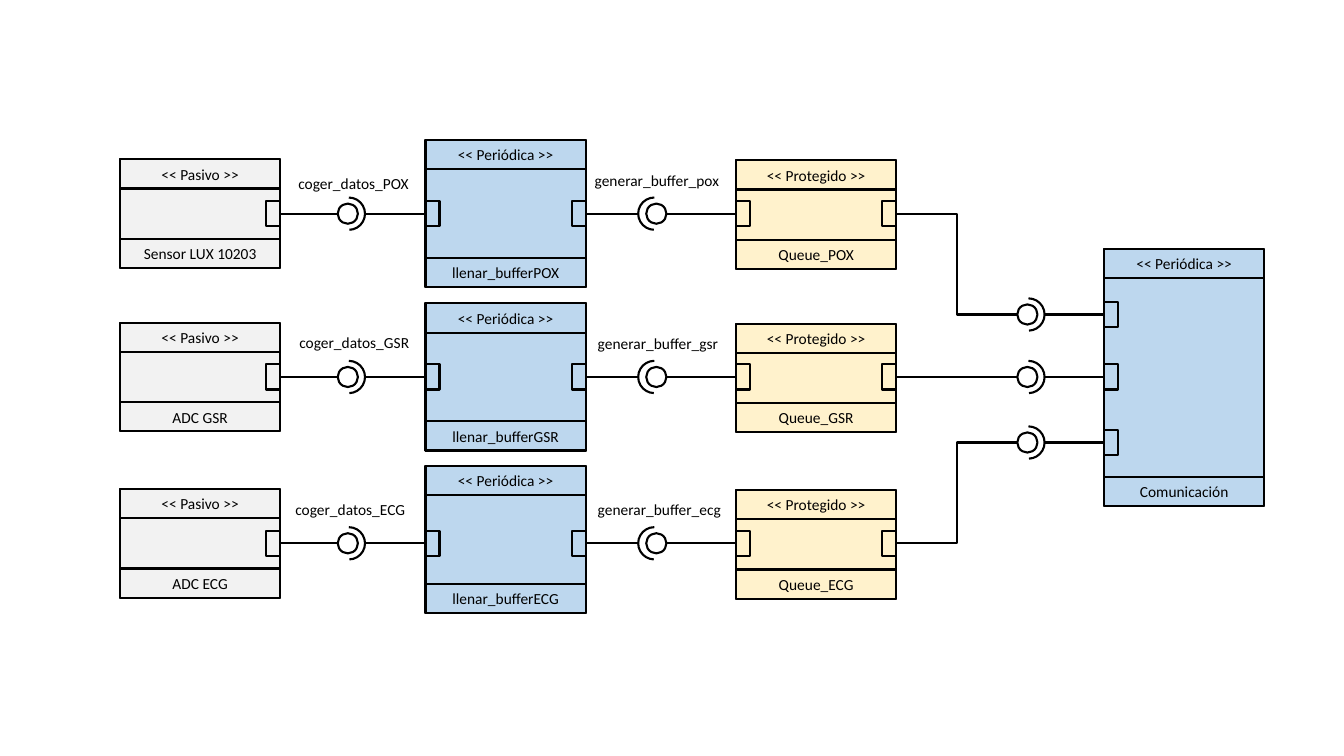
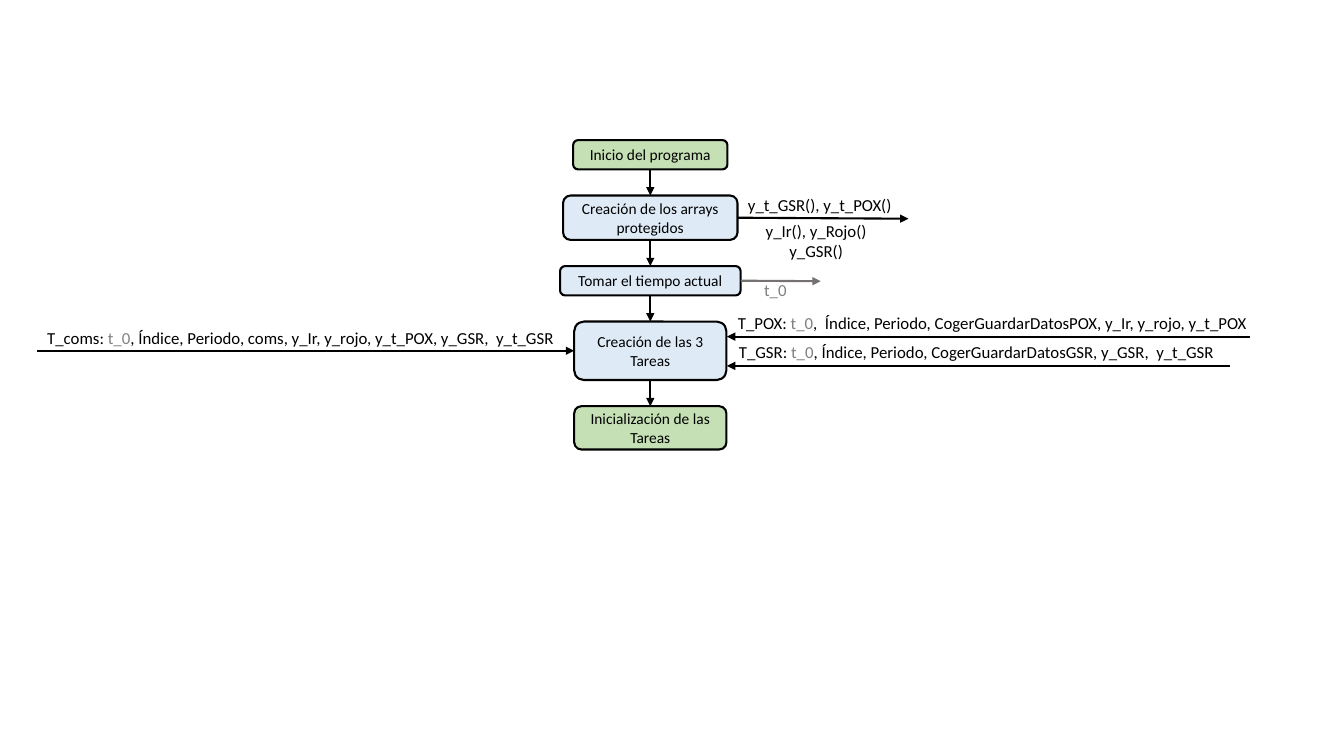
from pptx import Presentation
from pptx.dml.color import RGBColor
from pptx.enum.shapes import MSO_CONNECTOR, MSO_SHAPE
from pptx.enum.text import MSO_ANCHOR, PP_ALIGN
from pptx.oxml.ns import qn
from pptx.util import Inches, Pt
from lxml import etree

RECT, ROUND = MSO_SHAPE.RECTANGLE, MSO_SHAPE.ROUNDED_RECTANGLE
OVAL, ARC = MSO_SHAPE.OVAL, MSO_SHAPE.ARC
LINE, ELBOW = MSO_CONNECTOR.STRAIGHT, MSO_CONNECTOR.ELBOW
LEFT, CENTER = PP_ALIGN.LEFT, PP_ALIGN.CENTER
MIDDLE = MSO_ANCHOR.MIDDLE
S_TOP, S_LEFT, S_BASE, S_RIGHT = range(4)


class Theme:
    font = "Calibri"
    small, note = 11, 12
    stroke = 1.5
    ink, dim, mute = "000000", "808080", "767171"
    blue, grey, sand = "BDD7EE", "F2F2F2", "FFF2CC"
    pale, green = "DEEBF7", "C5E0B4"


ROWS = [
    dict(mid=2.12, top=1.39, sensor="Sensor LUX 10203", task="llenar_bufferPOX",
         queue="Queue_POX", read=("coger_datos_POX", 2.86, 1.68, 1.31),
         fill=("generar_buffer_pox", 5.8, 1.65, 1.46), goal=3.12),
    dict(mid=3.74, top=3.01, sensor="ADC GSR", task="llenar_bufferGSR",
         queue="Queue_GSR", read=("coger_datos_GSR", 2.87, 3.26, 1.3),
         fill=("generar_buffer_gsr", 5.83, 3.27, 1.42), goal=3.74),
    dict(mid=5.39, top=4.62, sensor="ADC ECG", task="llenar_bufferECG",
         queue="Queue_ECG", read=("coger_datos_ECG", 2.83, 4.91, 1.31),
         fill=("generar_buffer_ecg", 5.83, 4.91, 1.45), goal=4.39),
]
COL = dict(sensor=1.19, task=4.22, queue=7.3, comms=10.95)
BOX_W, BAND_H, PORT_W, PORT_H = 1.59, 0.29, 0.14, 0.25
ARC_D, BALL_D = 0.32, 0.2

STEPS = [
    ("Inicio del programa", 1.53, 0.29, Theme.green),
    ("Creación de los arrays protegidos", 1.73, 0.44, Theme.pale),
    ("Tomar el tiempo actual", 1.79, 0.29, Theme.pale),
    ("Creación de las 3 Tareas", 1.51, 0.58, Theme.pale),
    ("Inicialización de las Tareas", 1.51, 0.43, Theme.green),
]
AXIS, START, GAP = 6.45, 1.39, 0.26

NOTES = [
    (["y_t_GSR(), y_t_POX()"], 7.32, 1.88, 1.64, 0.3, LEFT, False),
    (["y_Ir(), y_Rojo()\ny_GSR()"], 7.49, 2.14, 1.21, 0.5, CENTER, False),
    (["", "t_0"], 7.48, 2.73, 0.52, 0.3, LEFT, True),
    (["T_POX: ", "t_0", ",  Índice, Periodo, CogerGuardarDatosPOX, y_Ir, y_rojo, y_t_POX"],
     7.22, 3.05, 5.33, 0.3, LEFT, True),
    (["T_GSR:", " t_0", ", Índice, Periodo, CogerGuardarDatosGSR, y_GSR,  y_t_GSR"],
     7.23, 3.34, 4.97, 0.3, LEFT, True),
    (["T_coms:", " t_0", ", Índice, Periodo, coms, y_Ir, y_rojo, y_t_POX, y_GSR,  y_t_GSR"],
     0.37, 3.2, 5.3, 0.3, LEFT, True),
]


def rgb(tone):
    return RGBColor.from_string(tone)


def style(run, size, tone):
    run.font.name = Theme.font
    run.font.size = Pt(size)
    run.font.color.rgb = rgb(tone)


def shape(home, kind, x, y, w, h, fill=None, text=""):
    item = home.add_shape(kind, Inches(x), Inches(y), Inches(w), Inches(h))
    item.shadow.inherit = False
    if fill:
        item.fill.solid()
        item.fill.fore_color.rgb = rgb(fill)
    else:
        item.fill.background()
    item.line.color.rgb = rgb(Theme.ink)
    item.line.width = Pt(Theme.stroke)
    if text:
        frame = item.text_frame
        frame.text = text
        frame.word_wrap = True
        frame.vertical_anchor = MIDDLE
        para = frame.paragraphs[0]
        para.alignment = CENTER
        style(para.runs[0], Theme.small, Theme.ink)
    return item


def label(home, parts, x, y, w, h, size, align=LEFT, wrap=False):
    frame = home.add_textbox(Inches(x), Inches(y), Inches(w), Inches(h)).text_frame
    frame.word_wrap = wrap
    first, *rest = parts
    frame.text = first
    for para in frame.paragraphs:
        para.alignment = align
        for run in para.runs:
            style(run, size, Theme.ink)
    for part, tone in zip(rest, (Theme.dim, Theme.ink)):
        run = frame.paragraphs[-1].add_run()
        run.text = part
        style(run, size, tone)


def wire(home, a, b, start=None, stop=None, kind=LINE, tone=Theme.ink, arrow=False):
    link = home.add_connector(kind, *[Inches(v) for v in (*a, *b)])
    link.line.color.rgb = rgb(tone)
    link.line.width = Pt(Theme.stroke)
    if start:
        link.begin_connect(*start)
    if stop:
        link.end_connect(*stop)
    props = link._element.spPr
    if arrow:
        etree.SubElement(props.find(qn("a:ln")), qn("a:tailEnd"), type="triangle")
    etree.SubElement(props, qn("a:effectLst"))


def block(home, x, y, h, fill, kind, name):
    group = home.add_group_shape().shapes
    shape(group, RECT, x, y, BOX_W, h, fill)
    shape(group, RECT, x, y, BOX_W, BAND_H, None, f"<< {kind} >>")
    shape(group, RECT, x, y + h - BAND_H, BOX_W, BAND_H, None, name)


def port(home, x, mid, right=False):
    if right:
        x += BOX_W - PORT_W
    return shape(home, RECT, x, mid - PORT_H / 2, PORT_W, PORT_H)


def joint(home, x, mid, flip=False):
    arc = shape(home, ARC, x, mid - ARC_D / 2, ARC_D, ARC_D)
    arc.adjustments[0], arc.adjustments[1] = (55.17, 162) if flip else (162, 52.83)
    ball = x + (0.08 if flip else 0.05)
    shape(home, OVAL, ball, mid - BALL_D / 2, BALL_D, BALL_D)
    return (x, ball + BALL_D) if flip else (ball, x + ARC_D)


def span(home, left, right, x, mid, flip):
    out = port(home, left, mid, True)
    into = port(home, right, mid)
    near, far = joint(home, x, mid, flip)
    wire(home, (left + BOX_W, mid), (near, mid), start=(out, S_RIGHT))
    wire(home, (far, mid), (right, mid), stop=(into, S_LEFT))


def parts_slide(home):
    block(home, COL["comms"], 2.47, 2.55, Theme.blue, "Periódica", "Comunicación")
    for row in ROWS:
        mid, goal = row["mid"], row["goal"]
        block(home, COL["sensor"], mid - 0.54, 1.08, Theme.grey, "Pasivo", row["sensor"])
        block(home, COL["task"], row["top"], 1.46, Theme.blue, "Periódica", row["task"])
        block(home, COL["queue"], mid - 0.53, 1.08, Theme.sand, "Protegido", row["queue"])
        span(home, COL["sensor"], COL["task"], 3.3, mid, False)
        span(home, COL["task"], COL["queue"], 6.33, mid, True)
        out = port(home, COL["queue"], mid, True)
        into = port(home, COL["comms"], goal)
        near, far = joint(home, 10.04, goal)
        wire(home, (COL["queue"] + BOX_W, mid), (near, goal), start=(out, S_RIGHT),
             kind=LINE if mid == goal else ELBOW)
        wire(home, (far, goal), (COL["comms"], goal), stop=(into, S_LEFT))
        for text, x, y, w in (row["read"], row["fill"]):
            label(home, [text], x, y, w, BAND_H, Theme.small)


def flow_slide(home):
    steps, y = [], START
    for text, w, h, fill in STEPS:
        steps.append(shape(home, ROUND, AXIS - w / 2, y, w, h, fill, text))
        y += h + GAP
    for above, below in zip(steps, steps[1:]):
        wire(home, (AXIS, START), (AXIS, y), (above, S_BASE), (below, S_TOP), arrow=True)
    arrays, clock, tasks = steps[1:4]
    wire(home, (7.32, 2.17), (9.01, 2.17), start=(arrays, S_RIGHT), arrow=True)
    wire(home, (7.35, 2.79), (8.14, 2.79), start=(clock, S_RIGHT),
         tone=Theme.mute, arrow=True)
    wire(home, (0.37, 3.48), (5.7, 3.48), stop=(tasks, S_LEFT), arrow=True)
    for x, level in ((12.4, 3.34), (12.2, 3.63)):
        wire(home, (x, level), (7.21, level), arrow=True)
    for parts, x, y, w, h, align, wrap in NOTES:
        label(home, parts, x, y, w, h, Theme.note, align, wrap)


def main():
    deck = Presentation()
    deck.slide_width, deck.slide_height = Inches(13.33), Inches(7.5)
    for draw in (parts_slide, flow_slide):
        draw(deck.slides.add_slide(deck.slide_layouts[6]).shapes)
    deck.save("out.pptx")


if __name__ == "__main__":
    main()
